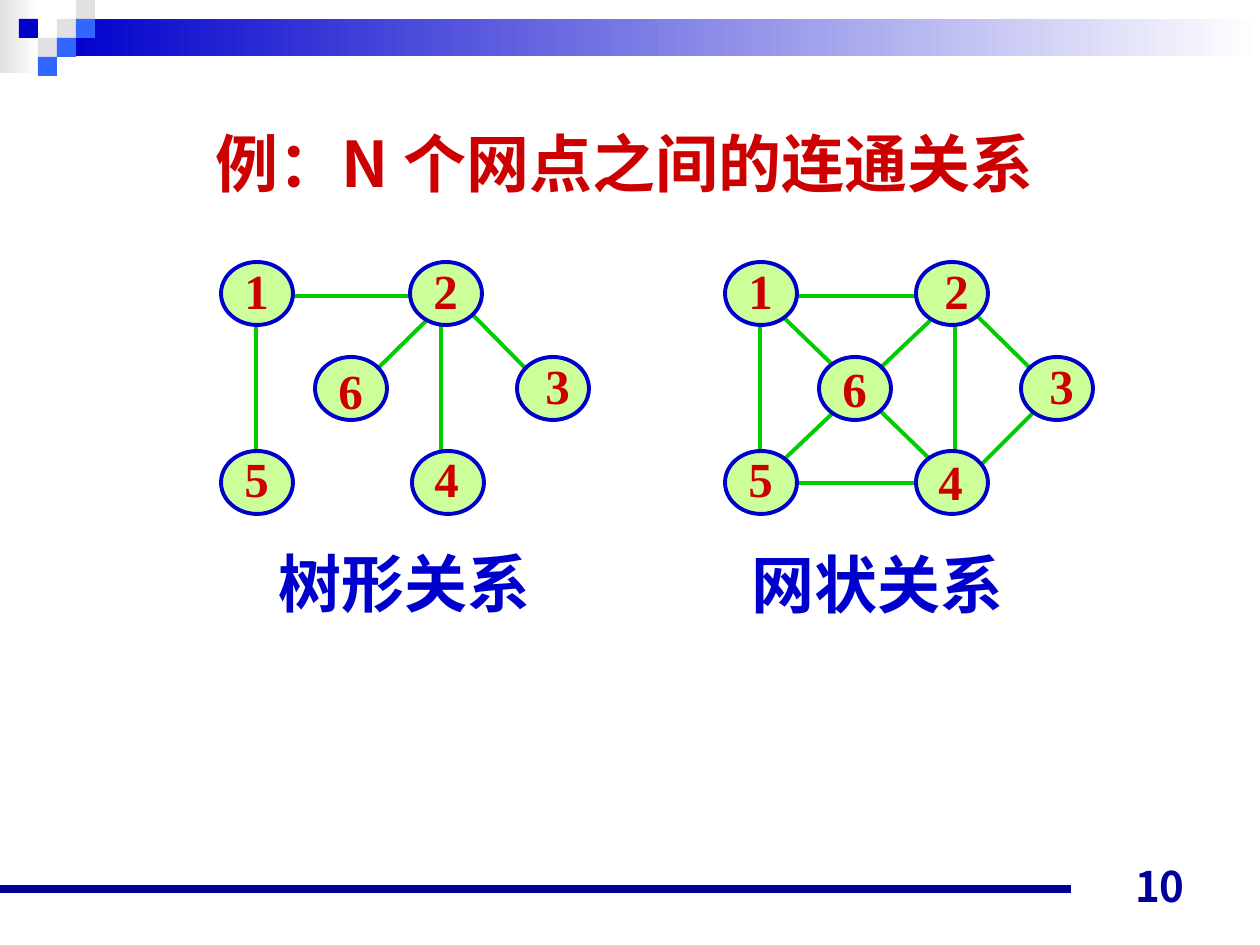
from typing import NamedTuple

import lxml.etree
import pptx
import pptx.dml.color
import pptx.enum.lang
import pptx.enum.shapes
import pptx.enum.text
import pptx.oxml.ns
import pptx.util

RGBColor = pptx.dml.color.RGBColor
Shape = pptx.enum.shapes.MSO_SHAPE
Align = pptx.enum.text.PP_ALIGN
Anchor = pptx.enum.text.MSO_ANCHOR
qn = pptx.oxml.ns.qn

WHITE = RGBColor(0xFF, 0xFF, 0xFF)
GREY = RGBColor(0xE1, 0xE1, 0xE1)
BLUE = RGBColor(0x00, 0x00, 0xCC)
LIGHT_BLUE = RGBColor(0x33, 0x66, 0xFF)
NAVY = RGBColor(0x00, 0x00, 0x99)
RED = RGBColor(0xCC, 0x00, 0x00)
GREEN = RGBColor(0x00, 0xCC, 0x00)
LIME = RGBColor(0xCC, 0xFF, 0x99)

SANS = "Noto Sans CJK JP"
SERIF = "Times New Roman"
PX_PER_INCH = 126
TILE = 19
NODE_WIDTH, NODE_HEIGHT = 72, 63
TOP_ROW, MIDDLE_ROW, BOTTOM_ROW = 262, 357, 451


class Tile(NamedTuple):
    column: int
    row: int
    color: RGBColor


class Node(NamedTuple):
    label: str
    left: int
    top: int
    label_dx: int = 11
    label_dy: int = -8


class Edge(NamedTuple):
    x1: int
    y1: int
    x2: int
    y2: int


class Graph(NamedTuple):
    caption: str
    caption_left: int
    caption_top: int
    nodes: list[Node]
    edges: list[Edge]


TILES = [
    Tile(3, 1, GREY), Tile(4, 0, GREY), Tile(4, 1, LIGHT_BLUE), Tile(2, 2, GREY),
    Tile(1, 1, BLUE), Tile(3, 2, LIGHT_BLUE), Tile(2, 3, LIGHT_BLUE),
]

TREE = Graph(
    "树形关系", 263, 537,
    [
        Node("1", 221, TOP_ROW), Node("2", 410, TOP_ROW),
        Node("3", 517, MIDDLE_ROW, 16), Node("4", 412, BOTTOM_ROW, 10, -9),
        Node("5", 221, BOTTOM_ROW, 11, -9), Node("6", 315, MIDDLE_ROW, 11, -3),
    ],
    [
        Edge(284, 296, 418, 296), Edge(256, 324, 256, 451), Edge(431, 316, 368, 378),
        Edge(441, 324, 441, 451), Edge(473, 315, 530, 373),
    ],
)

NETWORK = Graph(
    "网状关系", 736, 538,
    [
        Node("1", 725, TOP_ROW), Node("2", 916, TOP_ROW, 16),
        Node("3", 1021, MIDDLE_ROW, 16), Node("4", 916, BOTTOM_ROW, 10, -6),
        Node("5", 725, BOTTOM_ROW, 11, -9), Node("6", 819, MIDDLE_ROW, 11, -5),
    ],
    [
        Edge(788, 296, 922, 296), Edge(788, 483, 922, 483), Edge(760, 324, 760, 451),
        Edge(955, 324, 955, 451), Edge(777, 311, 936, 465), Edge(935, 316, 774, 469),
        Edge(971, 310, 1029, 367), Edge(1036, 410, 977, 469),
    ],
)


def px(length: int) -> int:
    return round(length * pptx.util.Inches(1) / PX_PER_INCH)


def set_text(frame, text: str, size: int, face: str, color: RGBColor, align=Align.LEFT) -> None:
    para = frame.paragraphs[0]
    para.text = text
    para.alignment = align
    font = para.font
    font.size, font.name, font.bold = pptx.util.Pt(size), face, True
    font.color.rgb = color
    font.language_id = pptx.enum.lang.MSO_LANGUAGE_ID.SIMPLIFIED_CHINESE
    # East Asian characters need a typeface of their own
    latin = para._p.find(".//" + qn("a:latin"))
    east_asian = lxml.etree.Element(qn("a:ea"))
    east_asian.set("typeface", SANS)
    latin.addnext(east_asian)


def add_text(slide, left: int, top: int, width: int, height: int, text: str, size: int,
             face: str, color: RGBColor, align=Align.LEFT, anchor=Anchor.TOP):
    box = slide.shapes.add_textbox(px(left), px(top), px(width), px(height))
    frame = box.text_frame
    frame.word_wrap = align == Align.RIGHT
    frame.vertical_anchor = anchor
    set_text(frame, text, size, face, color, align)
    return box


def add_block(slide, kind, left: int, top: int, width: int, height: int):
    block = slide.shapes.add_shape(kind, px(left), px(top), px(width), px(height))
    block.shadow.inherit = False
    block.line.fill.background()
    return block


def add_fade(slide, left: int, top: int, width: int, height: int, color: RGBColor) -> None:
    fill = add_block(slide, Shape.RECTANGLE, left, top, width, height).fill
    fill.gradient()
    fill.gradient_angle = 0
    for stop, stop_color in zip(fill.gradient_stops, (color, WHITE)):
        stop.color.rgb = stop_color


def add_line(slide, edge: Edge, color: RGBColor, weight: float) -> None:
    line = slide.shapes.add_connector(
        pptx.enum.shapes.MSO_CONNECTOR.STRAIGHT, *(px(value) for value in edge))
    line.line.color.rgb = color
    line.line.width = pptx.util.Pt(weight)
    lxml.etree.SubElement(line._element.spPr, qn("a:effectLst"))


def add_graph(slide, graph: Graph) -> None:
    for edge in graph.edges:
        add_line(slide, edge, GREEN, 2.25)
    for node in graph.nodes:
        circle = add_block(slide, Shape.OVAL, node.left, node.top, NODE_WIDTH, NODE_HEIGHT)
        circle.fill.solid()
        circle.fill.fore_color.rgb = LIME
        circle.line.color.rgb = BLUE
        circle.line.width = pptx.util.Pt(2.25)
        add_text(slide, node.left + node.label_dx, node.top + node.label_dy, 49, 72,
                 node.label, 28, SERIF, RED)
    caption = add_text(slide, graph.caption_left, graph.caption_top, 283, 91,
                       graph.caption, 36, SERIF, BLUE)
    frame = caption.text_frame
    frame.margin_left = frame.margin_right = pptx.util.Inches(0.12)
    frame.margin_top = frame.margin_bottom = pptx.util.Inches(0.06)


def main() -> None:
    deck = pptx.Presentation()
    deck.slide_width, deck.slide_height = px(1260), px(945)
    page = deck.slides.add_slide(deck.slide_layouts[5])

    # Header band and mosaic
    add_fade(page, 0, 0, 39, 73, GREY)
    add_fade(page, 57, 19, 1203, 37, BLUE)
    for tile in TILES:
        square = add_block(page, Shape.RECTANGLE, tile.column * TILE, tile.row * TILE, TILE, TILE)
        square.fill.solid()
        square.fill.fore_color.rgb = tile.color

    # Title
    title = page.shapes.title
    title.left, title.top, title.width, title.height = px(73), px(110), px(1103), px(105)
    title.text_frame.vertical_anchor = Anchor.MIDDLE
    set_text(title.text_frame, "例：N 个网点之间的连通关系", 36, SANS, RED, Align.CENTER)

    # Two graphs with their captions
    for graph in (TREE, NETWORK):
        add_graph(page, graph)

    # Footer rule and page number
    add_line(page, Edge(0, 889, 1071, 889), NAVY, 4.5)
    add_text(page, 903, 854, 294, 63, "10", 24, SANS, NAVY, Align.RIGHT, Anchor.BOTTOM)

    deck.save("out.pptx")


if __name__ == "__main__":
    main()
